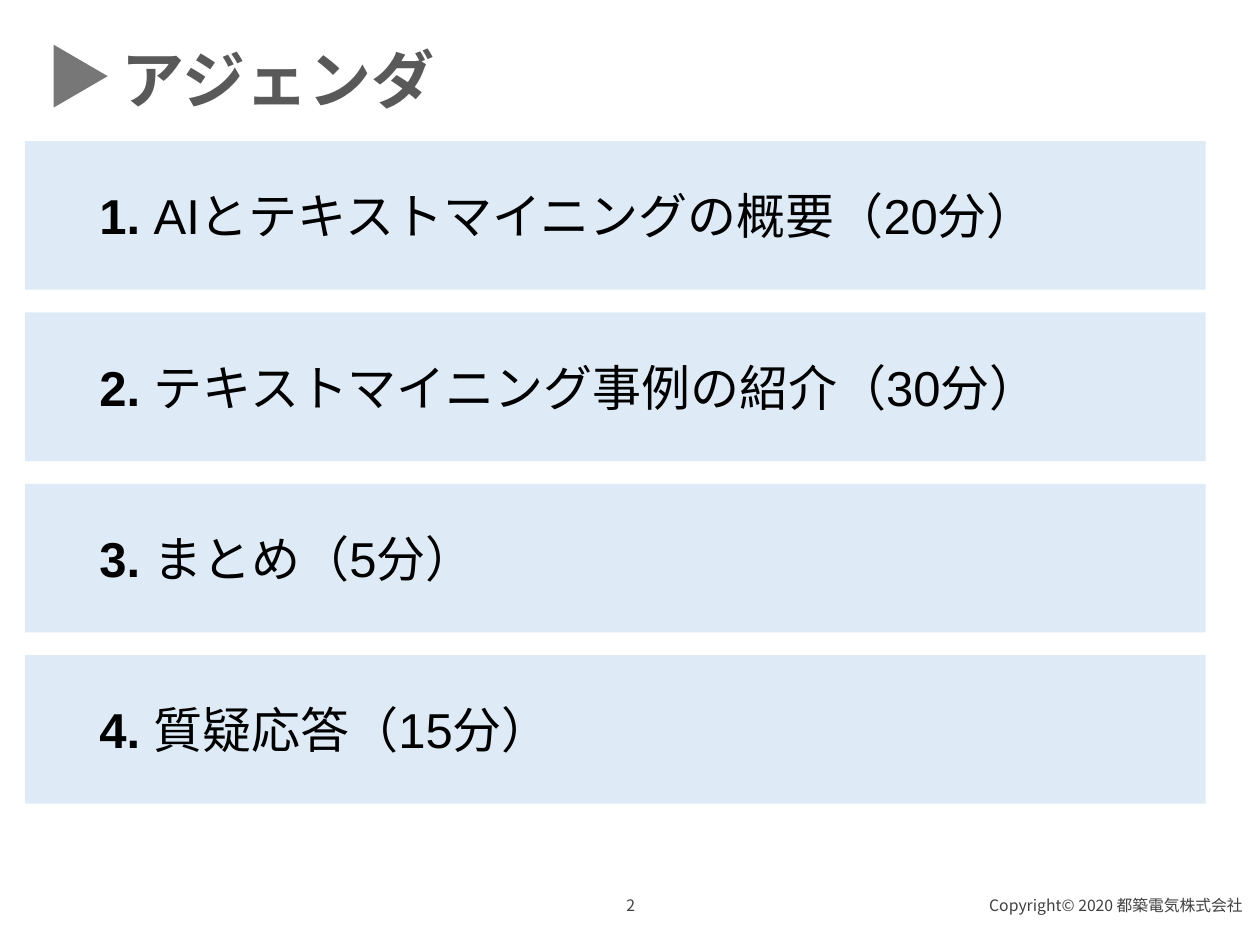
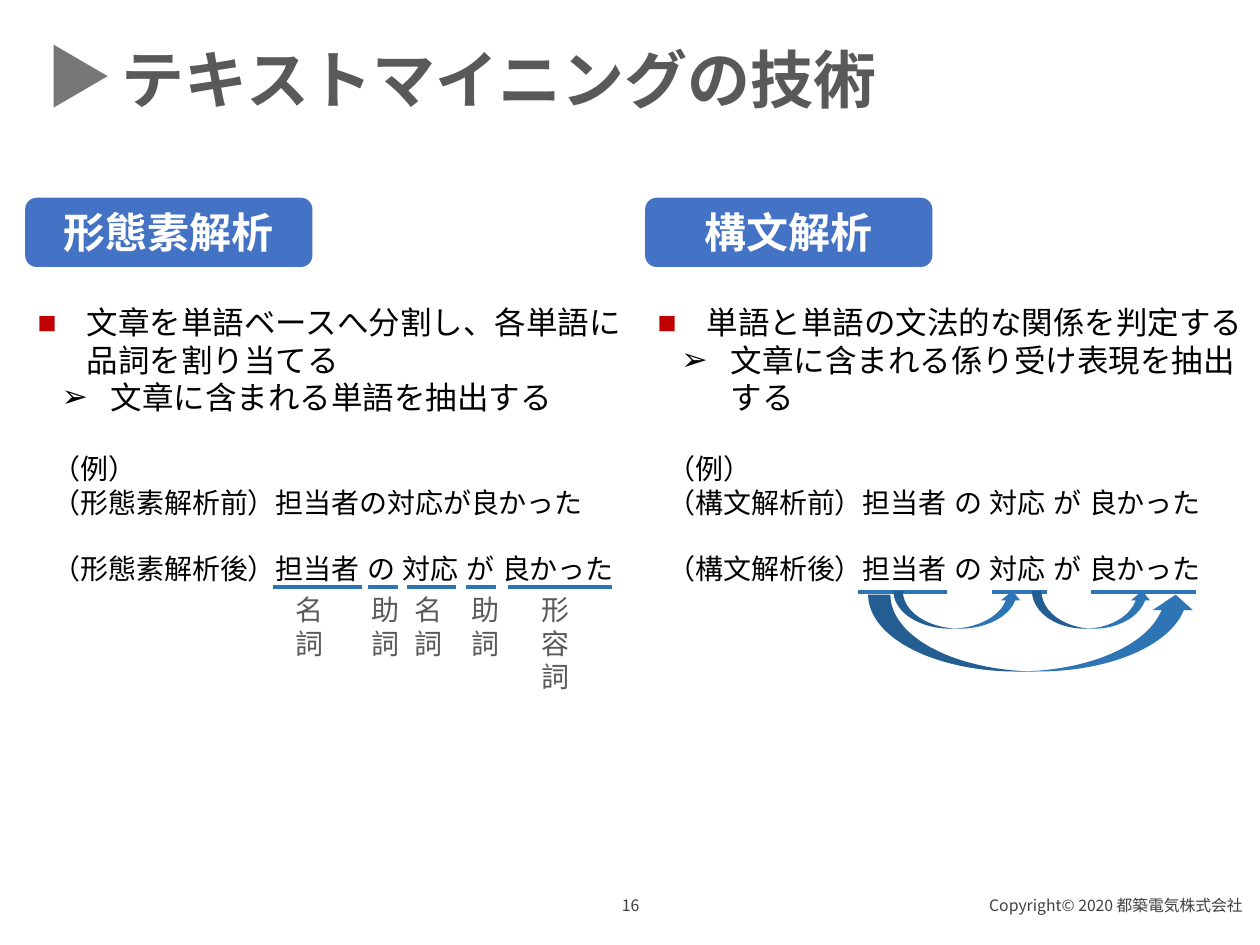
from lxml import etree
from pptx import Presentation
from pptx.dml.color import RGBColor
from pptx.enum.shapes import MSO_CONNECTOR, MSO_SHAPE
from pptx.enum.text import MSO_ANCHOR, PP_ALIGN
from pptx.oxml.ns import qn
from pptx.util import Inches, Pt

RECT, ROUND = MSO_SHAPE.RECTANGLE, MSO_SHAPE.ROUNDED_RECTANGLE
TRIANGLE, ARC_ARROW = MSO_SHAPE.ISOSCELES_TRIANGLE, MSO_SHAPE.CURVED_UP_ARROW
STRAIGHT, MIDDLE = MSO_CONNECTOR.STRAIGHT, MSO_ANCHOR.MIDDLE
LEFT, CENTER, RIGHT = PP_ALIGN.LEFT, PP_ALIGN.CENTER, PP_ALIGN.RIGHT

BODY_FONT, FOOTER_FONT = "Arial", "Noto Sans CJK JP"
BLACK, WHITE, GRAY, FOOTER_GRAY = "000000", "FFFFFF", "595959", "404040"
MARKER, BAND, HEADING, ACCENT, BULLET = "777777", "DEEBF7", "4472C4", "2E75B6", "C00000"
LINE_HEIGHT = 1.19

prs = Presentation()
prs.slide_width, prs.slide_height = Inches(10), Inches(7.5)
COL, ROW = prs.slide_width / 100, prs.slide_height / 100  # 100 x 100 grid
rgb = RGBColor.from_string


def place(s, kind, x, y, w, h, fill=None):
    """Add a text box (kind None) or a filled shape, in grid columns and rows."""
    box = int(x * COL), int(y * ROW), int(w * COL), int(h * ROW)
    if kind is None:
        sp = s.shapes.add_textbox(*box)
    else:
        sp = s.shapes.add_shape(kind, *box)
        sp.shadow.inherit = False
        sp.fill.solid()
        sp.fill.fore_color.rgb = rgb(fill)
        sp.line.fill.background()
        sp.text_frame.vertical_anchor = MIDDLE
    sp.text_frame.word_wrap = True
    return sp


def write(p, text, size, color, bold=False, font=BODY_FONT, align=LEFT):
    """Append one run to a paragraph."""
    p.alignment = align
    if font == BODY_FONT:
        p.line_spacing = Pt(round(size * LINE_HEIGHT, 1))
    r = p.add_run()
    r.text = text
    r.font.size, r.font.bold, r.font.name = Pt(size), bold, font
    r.font.color.rgb = rgb(color)
    etree.SubElement(r.font._element, qn("a:ea"), typeface=font)


# Shared title and footer
slides = []
for title, number in [("アジェンダ", "2"), ("テキストマイニングの技術", "16")]:
    s = prs.slides.add_slide(prs.slide_layouts[6])
    slides.append(s)
    sp = place(s, None, 8.7, 3.73, 63, 9.47)
    sp.text_frame.word_wrap = False
    write(sp.text_frame.paragraphs[0], title, 36, GRAY, bold=True)
    place(s, TRIANGLE, 3.9, 5.2, 5, 5.73, MARKER).rotation = 90
    for text, x, w, align in [("Copyright© 2020 都築電気株式会社", 63.4, 36.2, RIGHT),
                              (number, 38.8, 22.5, CENTER)]:
        sp = place(s, None, x, 94.13, w, 5.33)
        write(sp.text_frame.paragraphs[0], text, 9, FOOTER_GRAY, font=FOOTER_FONT, align=align)
agenda, techniques = slides

# Agenda bands
topics = ["AIとテキストマイニングの概要（20分）", "テキストマイニング事例の紹介（30分）",
          "まとめ（5分）", "質疑応答（15分）"]
for i, topic in enumerate(topics):
    sp = place(agenda, RECT, 2, 14.93 + i * 18.13, 93.7, 15.73, BAND)
    p = sp.text_frame.paragraphs[0]
    p._p.get_or_add_pPr().set("marL", str(Inches(0.49)))
    write(p, f"{i + 1}. ", 28, BLACK, bold=True)
    write(p, topic, 28, BLACK)

# Two techniques: heading, bullets, example, underlined words (x, width)
panels = [
    (2, "形態素解析",
     ["文章を単語ベースへ分割し、各単語に品詞を割り当てる", "文章に含まれる単語を抽出する"],
     3.2, 48.3, "担当者の対応が良かった",
     62.13, [(21.7, 7), (29.2, 2.4), (32.3, 3.9), (37, 2.4), (40.3, 8.3)]),
    (51.2, "構文解析",
     ["単語と単語の文法的な関係を判定する", "文章に含まれる係り受け表現を抽出する"],
     52, 47.6, "担当者 の 対応 が 良かった",
     62.67, [(68.1, 7.1), (78.7, 4.4), (86.6, 8.3)]),
]
for x, name, points, example_x, example_w, before, line_y, underlines in panels:
    sp = place(techniques, ROUND, x, 20.93, 22.8, 7.33, HEADING)
    write(sp.text_frame.paragraphs[0], name, 24, WHITE, bold=True, align=CENTER)

    tf = place(techniques, None, x, 31.47, 49.2, 11.6).text_frame
    for i, (point, mark, margin) in enumerate(zip(points, "■➢", (0.39, 0.58))):
        p = tf.add_paragraph() if i else tf.paragraphs[0]
        pPr = p._p.get_or_add_pPr()
        pPr.set("marL", str(Inches(margin)))
        pPr.set("indent", str(Inches(-0.39)))
        if mark == "■":
            color = etree.SubElement(pPr, qn("a:buClr"))
            etree.SubElement(color, qn("a:srgbClr"), val=BULLET)
        etree.SubElement(pPr, qn("a:buFont"), typeface=BODY_FONT)
        etree.SubElement(pPr, qn("a:buChar"), char=mark)
        write(p, point, 18, BLACK)

    tf = place(techniques, None, example_x, 47.2, example_w, 15.73).text_frame
    lines = ["（例）", f"（{name}前）{before}", f"（{name}後）担当者 の 対応 が 良かった"]
    for i, line in enumerate(lines):
        p = tf.add_paragraph() if i else tf.paragraphs[0]
        if i == 2:
            p.space_before = Pt(19)
        write(p, line, 16, BLACK)

    for line_x, w in underlines:
        y = int(line_y * ROW)
        cx = techniques.shapes.add_connector(
            STRAIGHT, int(line_x * COL), y, int((line_x + w) * COL), y)
        cx.line.color.rgb = rgb(ACCENT)
        cx.line.width = Pt(2)
        etree.SubElement(cx._element.spPr, qn("a:effectLst"))

# Parts of speech under the words
for word, x, w in [("名詞", 22.5, 3.4), ("助詞", 28.5, 3.4), ("名詞", 31.9, 3.4),
                   ("助詞", 36.4, 3.4), ("形容詞", 42, 4.8)]:
    sp = place(techniques, None, x, 62.13, w, 4.93)
    write(sp.text_frame.paragraphs[0], word, 16, GRAY)

# Dependency arrows
for x, y, w, h, adjustments in [(70.9, 62.53, 10.2, 4, ()),
                                (68.9, 62.93, 26, 8.13, (0.29, 0.52, 0.2)),
                                (81.9, 62.53, 9.5, 4, ())]:
    sp = place(techniques, ARC_ARROW, x, y, w, h, ACCENT)
    for i, value in enumerate(adjustments):
        sp.adjustments[i] = value

prs.save("out.pptx")
